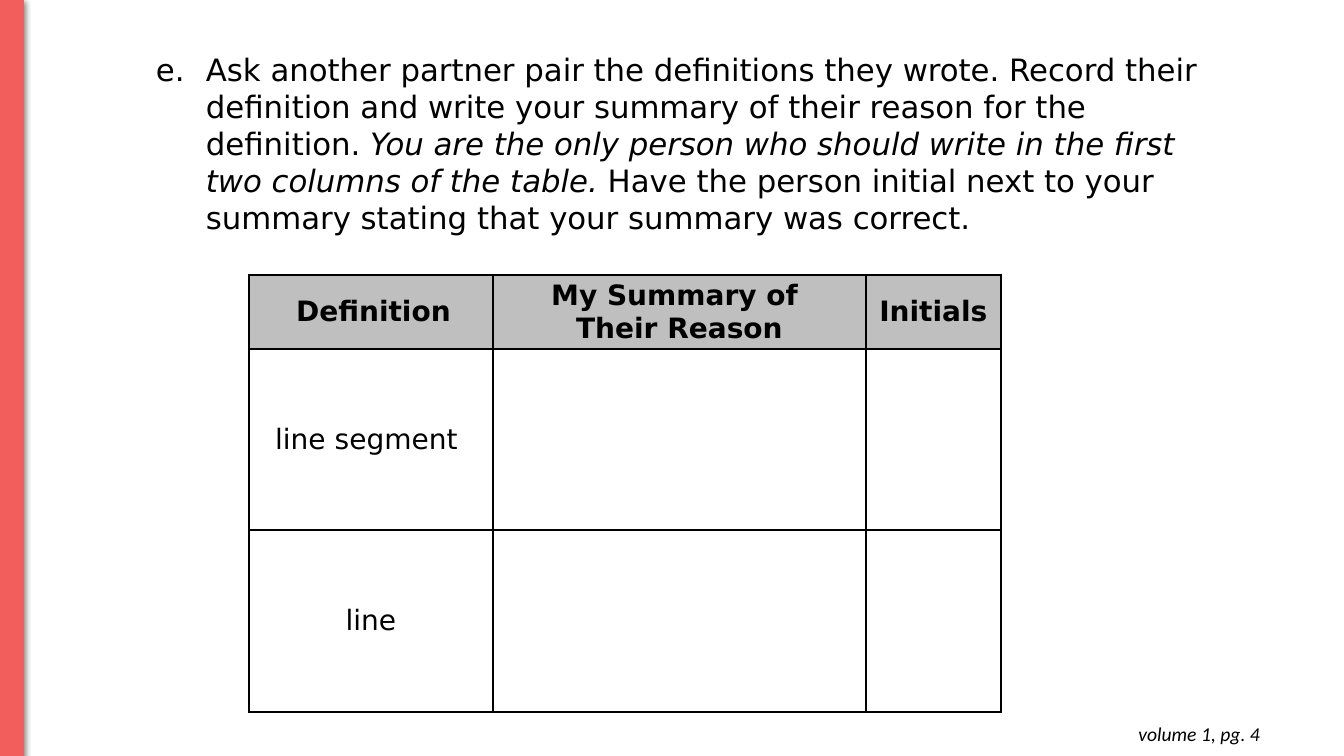
import lxml.etree
import pptx
import pptx.dml.color
import pptx.enum.shapes
import pptx.enum.text
import pptx.oxml
import pptx.oxml.ns
import pptx.util

PX = 914400 / 100.8
CENTER = pptx.enum.text.PP_ALIGN.CENTER
RIGHT = pptx.enum.text.PP_ALIGN.RIGHT
BLACK, CORAL, GRAY = "000000", "F25E5B", "BFBFBF"


def px(length):
    """Turn a length in px into EMU."""
    return pptx.util.Emu(round(length * PX))


def rgb(value):
    """Turn a hex string into a colour."""
    return pptx.dml.color.RGBColor.from_string(value)


def add_xml(parent, markup):
    """Append one drawing element written as markup."""
    namespace = pptx.oxml.ns.nsdecls("a")
    wrapper = pptx.oxml.parse_xml(f"<a:wrap {namespace}>{markup}</a:wrap>")
    parent.append(wrapper[0])


def style(paragraph, size, face="DejaVu Sans", bold=False, italic=False):
    """Set the font shared by a whole paragraph."""
    font = paragraph.font
    font.name, font.size = face, pptx.util.Pt(size)
    font.bold, font.italic = bold, italic
    font.color.rgb = rgb(BLACK)


def add_side_bar(slide, left, top, width, height):
    """Draw the coloured bar with its soft shadow."""
    bar = slide.shapes.add_shape(
        pptx.enum.shapes.MSO_SHAPE.RECTANGLE, px(left), px(top), px(width), px(height))
    bar.fill.solid()
    bar.fill.fore_color.rgb = rgb(CORAL)
    bar.line.color.rgb = rgb(CORAL)
    bar.line.width = pptx.util.Pt(0.75)
    bar.shadow.inherit = False
    effects = bar._element.spPr.find(pptx.oxml.ns.qn("a:effectLst"))
    add_xml(effects, '<a:outerShdw blurRad="57150" dist="19050" dir="5400000" '
                     'algn="ctr" rotWithShape="0"><a:srgbClr val="000000">'
                     '<a:alpha val="50000"/></a:srgbClr></a:outerShdw>')


def add_task(slide, left, top, width, height):
    """Write the lettered instruction."""
    frame = slide.shapes.add_textbox(px(left), px(top), px(width), px(height)).text_frame
    frame.word_wrap = True
    task = frame.paragraphs[0]
    properties = task._p.get_or_add_pPr()
    properties.set("marL", str(px(101)))
    properties.set("indent", str(px(-50)))
    add_xml(properties, f'<a:buClr><a:srgbClr val="{BLACK}"/></a:buClr>')
    add_xml(properties, '<a:buAutoNum type="alphaLcPeriod" startAt="5"/>')
    style(task, 22)
    sentences = [
        ("Ask another partner pair the definitions they wrote. Record their definition "
         "and write your summary of their reason for the definition. ", False),
        ("You are the only person who should write in the first two columns of the table.",
         True),
        (" Have the person initial next to your summary stating that your summary "
         "was correct.", False),
    ]
    for sentence, italic in sentences:
        run = task.add_run()
        run.text = sentence
        run.font.italic = italic


def fill_cell(cell, wording, heading):
    """Give one table cell its border, fill and text."""
    properties = cell._tc.get_or_add_tcPr()
    for side in "LRTB":
        add_xml(properties, f'<a:ln{side} w="12700"><a:solidFill><a:srgbClr val="{BLACK}"/>'
                            f'</a:solidFill></a:ln{side}>')
    if heading:
        cell.fill.solid()
        cell.fill.fore_color.rgb = rgb(GRAY)
    else:
        cell.fill.background()
    cell.margin_left = cell.margin_right = px(6)
    cell.margin_top = cell.margin_bottom = 0
    cell.vertical_anchor = pptx.enum.text.MSO_ANCHOR.MIDDLE
    label = cell.text_frame.paragraphs[0]
    label.text = wording
    label.alignment = CENTER
    style(label, 20, bold=heading)


def add_definitions(slide, left, top, column_widths, row_heights):
    """Build the table of definitions, summaries and initials."""
    rows = [("Definition", "My Summary of \vTheir Reason", "Initials"),
            ("line segment ", "", ""),
            ("line", "", "")]
    table = slide.shapes.add_table(
        len(rows), len(column_widths), px(left), px(top),
        px(sum(column_widths)), px(sum(row_heights))).table
    table.first_row = table.horz_banding = False
    for column, width in zip(table.columns, column_widths):
        column.width = px(width)
    for index, (row, height) in enumerate(zip(table.rows, row_heights)):
        row.height = px(height)
        for cell, wording in zip(row.cells, rows[index]):
            fill_cell(cell, wording, heading=index == 0)
    first_heading = table.cell(0, 0).text_frame.paragraphs[0]
    first_heading._p.get_or_add_pPr().set("indent", str(px(5)))


def add_page_reference(slide, left, top, width, height):
    """Write the volume and page at the lower right."""
    frame = slide.shapes.add_textbox(px(left), px(top), px(width), px(height)).text_frame
    frame.word_wrap = True
    frame.margin_top = frame.margin_bottom = px(10)
    reference = frame.paragraphs[0]
    reference.text = "volume 1, pg. 4"
    reference.alignment = RIGHT
    style(reference, 14, face="Calibri", italic=True)


def main():
    """Build and save the slide."""
    deck = pptx.Presentation()
    deck.slide_width, deck.slide_height = px(1344), px(756)
    slide = deck.slides.add_slide(deck.slide_layouts[6])
    add_side_bar(slide, 0, 0, 24, 757)
    add_definitions(slide, 249, 275, (244, 373, 135), (74, 181, 182))
    add_task(slide, 95, 46, 1136, 197)
    add_page_reference(slide, 980, 712, 290, 44)
    deck.save("out.pptx")


if __name__ == "__main__":
    main()
